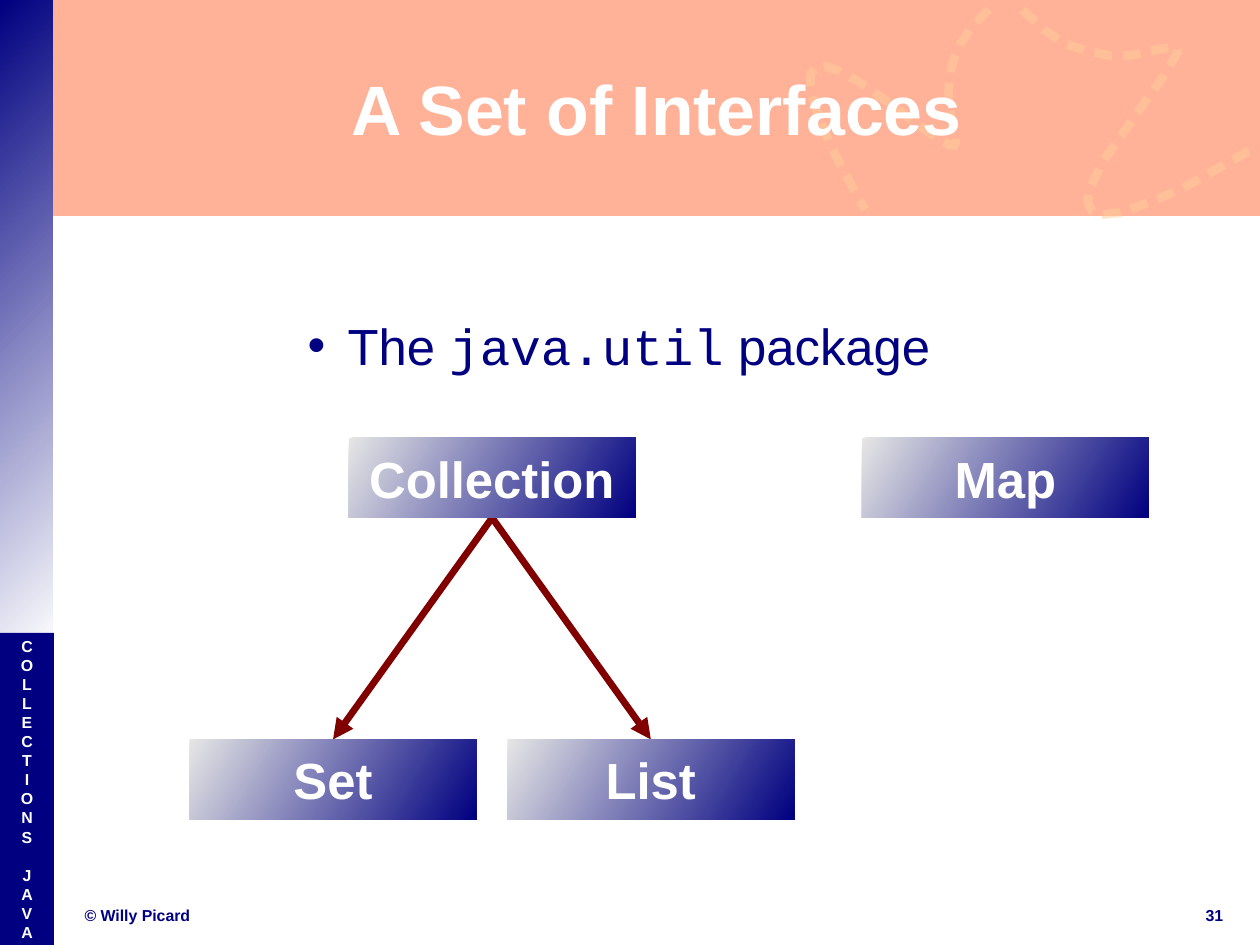
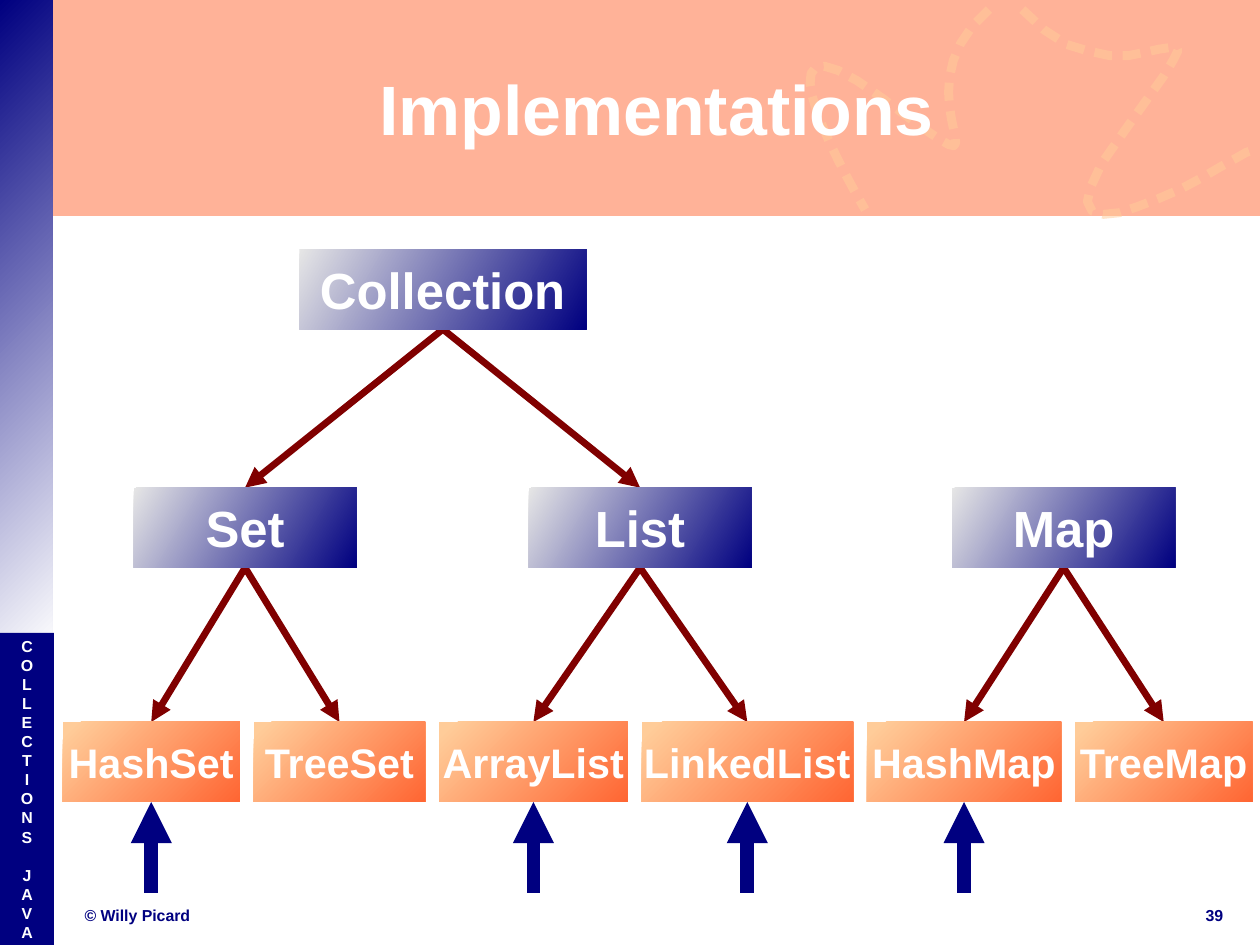
from lxml.etree import SubElement
from pptx import Presentation
from pptx.dml.color import RGBColor
from pptx.enum.shapes import MSO_CONNECTOR, MSO_SHAPE
from pptx.enum.text import MSO_ANCHOR, PP_ALIGN
from pptx.oxml.ns import qn
from pptx.util import Pt

STRAIGHT = MSO_CONNECTOR.STRAIGHT
RECTANGLE = MSO_SHAPE.RECTANGLE
TOP, MIDDLE = MSO_ANCHOR.TOP, MSO_ANCHOR.MIDDLE
LEFT, CENTER = PP_ALIGN.LEFT, PP_ALIGN.CENTER
TOP_SIDE, BOTTOM_SIDE = 0, 2


class Theme:
    navy = RGBColor.from_string("000080")
    white = RGBColor.from_string("FFFFFF")
    silver = RGBColor.from_string("E6E6E6")
    orange = RGBColor.from_string("FF6633")
    peach = RGBColor.from_string("FFCC99")
    maroon = RGBColor.from_string("800000")
    font, code_font = "Arial", "Courier New"
    title, body, leaf, small = 44, 32, 26, 10
    arrow, marker, trail = 4.31, 8.65, 5.67


SLIDE_WIDTH, SLIDE_HEIGHT = 793.7, 595.28
SIDEBAR_WIDTH, SIDEBAR_TOP = 34, 398.7
NODE_HEIGHT = 50.4
FOOTER_TOP, FOOTER_HEIGHT = 569.8, 13.7
MARKER_BOTTOM = 562.3


def write(shape, text, size=Theme.small, color=Theme.white, bold=True,
          align=CENTER, anchor=MIDDLE):
    """Fill a shape with one paragraph per line; `backticks` mark code."""
    frame = shape.text_frame
    frame.word_wrap = True
    frame.vertical_anchor = anchor
    frame.margin_left = frame.margin_right = 0
    frame.margin_top = frame.margin_bottom = 0
    for index, line in enumerate(text.split("\n")):
        paragraph = frame.add_paragraph() if index else frame.paragraphs[0]
        paragraph.alignment = align
        for part, words in enumerate(line.split("`")):
            run = paragraph.add_run()
            run.text = words
            run.font.size = Pt(size)
            run.font.bold = bold
            run.font.color.rgb = color
            run.font.name = Theme.code_font if part % 2 else Theme.font
    return frame.paragraphs


def add_box(slide, left, top, width, height, colors, angle=0, first_stop=0):
    """Add a borderless rectangle, with a gradient if two colours are given."""
    box = slide.shapes.add_shape(RECTANGLE, Pt(left), Pt(top), Pt(width), Pt(height))
    box.shadow.inherit = False
    box.line.fill.background()
    if len(colors) == 1:
        box.fill.solid()
        box.fill.fore_color.rgb = colors[0]
    else:
        box.fill.gradient()
        box.fill.gradient_angle = 360 - angle
        for stop, color, position in zip(box.fill.gradient_stops, colors, (first_stop, 1)):
            stop.color.rgb = color
            stop.position = position
    return box


# Dashed trails in the title band: one from two Bézier curves, one from points
loop_curves = [
    [(623, 6), (557, 62), (652, 133), (556, 62)],
    [(556, 62), (460, -10), (545, 132), (545, 132)],
]
STEPS = 16
loop_trail = [loop_curves[0][0]]
for start, pull_1, pull_2, end in loop_curves:
    for step in range(1, STEPS + 1):
        t = step / STEPS
        loop_trail.append([
            (1 - t) ** 3 * a + 3 * (1 - t) ** 2 * t * b + 3 * (1 - t) * t ** 2 * c + t ** 3 * d
            for a, b, c, d in zip(start, pull_1, pull_2, end)
        ])
winding_trail = [
    (644, 6), (658, 19), (672, 28), (685, 32), (699, 35), (711, 35), (721, 33),
    (730, 31), (737, 30), (741, 30), (742, 32), (739, 38), (733, 48), (723, 62),
    (708, 83), (694, 103), (687, 118), (685, 127), (688, 133), (695, 135),
    (705, 134), (717, 130), (730, 125), (744, 119), (757, 112), (769, 105),
    (778, 100), (785, 96), (788, 95),
]

# Nodes are name, left, top, width
LEAF_LEFT, LEAF_TOP, LEAF_GAP = 39.5, 454.8, 8.75
leaves = []
leaf_left = LEAF_LEFT
for name, width in [("HashSet", 111.6), ("TreeSet", 108), ("ArrayList", 118.8),
                    ("LinkedList", 133.2), ("HashMap", 122.4), ("TreeMap", 111.6)]:
    leaves.append((name, leaf_left, LEAF_TOP, width))
    leaf_left += width + LEAF_GAP

collection_edges = [("Collection", "Set"), ("Collection", "List")]
slides = [
    {
        "title": "A Set of Interfaces",
        "number": "31",
        "bullet": "The `java.util` package",
        "interfaces": [("Collection", 219.6, 275.8, 180.8), ("Map", 543, 275.8, 180.8),
                       ("Set", 119.4, 465.8, 180.8), ("List", 319.6, 465.8, 180.8)],
        "classes": [],
        "edges": collection_edges,
        "marked": [],
    },
    {
        "title": "Implementations",
        "number": "39",
        "bullet": None,
        "interfaces": [("Collection", 188.6, 157, 180.8), ("Set", 84.2, 307.2, 140.4),
                       ("List", 333, 307.2, 140.4), ("Map", 599.8, 307.2, 140.4)],
        "classes": leaves,
        "edges": collection_edges + [
            ("Set", "HashSet"), ("Set", "TreeSet"), ("List", "ArrayList"),
            ("List", "LinkedList"), ("Map", "HashMap"), ("Map", "TreeMap")],
        "marked": ["HashSet", "ArrayList", "LinkedList", "HashMap"],
    },
]

prs = Presentation()
prs.slide_width, prs.slide_height = Pt(SLIDE_WIDTH), Pt(SLIDE_HEIGHT)

for content in slides:
    slide = prs.slides.add_slide(prs.slide_layouts[6])

    # Title band, sidebar and trails
    band = add_box(slide, 0, 0, SLIDE_WIDTH, 136, [Theme.orange])
    add_box(slide, 0, 0, 33.2, 412, [Theme.navy, Theme.white], angle=45)
    sidebar = add_box(slide, 0, SIDEBAR_TOP, SIDEBAR_WIDTH, SLIDE_HEIGHT - SIDEBAR_TOP,
                      [Theme.navy])
    letters = write(sidebar, "\n".join("COLLECTIONSJAVA"))
    letters[len("COLLECTIONS")].space_before = Pt(12)

    translucent = [band]
    for points in (loop_trail, winding_trail):
        corners = [(Pt(x), Pt(y)) for x, y in points]
        builder = slide.shapes.build_freeform(*corners[0])
        builder.add_line_segments(corners[1:], close=False)
        trail = builder.convert_to_shape()
        trail.shadow.inherit = False
        trail.fill.background()
        trail.line.color.rgb = Theme.peach
        trail.line.width = Pt(Theme.trail)
        dashes = SubElement(trail.element.spPr.find(qn("a:ln")), qn("a:custDash"))
        SubElement(dashes, qn("a:ds"), d="200000", sp="117000")
        translucent.append(trail)
    for shape in translucent:
        color = next(shape.element.iter(qn("a:srgbClr")))
        SubElement(color, qn("a:alpha"), val="50000")

    # Title and footer
    for text, left, top, width, height, style in [
        (content["title"], SIDEBAR_WIDTH, 18, SLIDE_WIDTH - SIDEBAR_WIDTH, 99.4,
         {"size": Theme.title}),
        ("© Willy Picard", 53.3, FOOTER_TOP, 322, FOOTER_HEIGHT,
         {"color": Theme.navy, "align": LEFT}),
        (content["number"], 753, FOOTER_TOP, 24, FOOTER_HEIGHT, {"color": Theme.navy}),
    ]:
        label = slide.shapes.add_textbox(Pt(left), Pt(top), Pt(width), Pt(height))
        write(label, text, **style)

    if content["bullet"]:
        body = slide.shapes.add_textbox(Pt(185.2), Pt(198.3), Pt(417.6), Pt(44.6))
        write(body, content["bullet"], size=Theme.body, color=Theme.navy,
              bold=False, align=LEFT, anchor=TOP)
        bullet = next(body.element.iter(qn("a:pPr")))
        bullet.set("marL", str(Pt(33.8)))
        bullet.set("indent", str(-Pt(25.2)))
        SubElement(bullet, qn("a:buFont"), typeface=Theme.font)
        SubElement(bullet, qn("a:buChar"), char="•")

    # Hierarchy
    nodes = {}
    for group, size, colors, angle, first_stop in [
        ("interfaces", Theme.body, [Theme.silver, Theme.navy], 30, 0),
        ("classes", Theme.leaf, [Theme.peach, Theme.orange], 45, 0.05),
    ]:
        for name, left, top, width in content[group]:
            nodes[name] = add_box(slide, left, top, width, NODE_HEIGHT, colors,
                                  angle, first_stop)
            write(nodes[name], name, size=size)

    # Arrows lie behind the nodes; a marker has no parent and points up
    backmost = nodes["Collection"]
    for parent, child in content["edges"] + [(None, name) for name in content["marked"]]:
        target = nodes[child]
        middle = target.left + target.width // 2
        arrow = slide.shapes.add_connector(STRAIGHT, middle, Pt(MARKER_BOTTOM),
                                           middle, target.top + target.height)
        if parent:
            arrow.begin_connect(nodes[parent], BOTTOM_SIDE)
        arrow.end_connect(target, TOP_SIDE if parent else BOTTOM_SIDE)
        arrow.line.color.rgb = Theme.maroon if parent else Theme.navy
        arrow.line.width = Pt(Theme.arrow if parent else Theme.marker)
        properties = arrow.element.spPr
        SubElement(properties.find(qn("a:ln")), qn("a:tailEnd"), type="triangle")
        SubElement(properties, qn("a:effectLst"))
        backmost.element.addprevious(arrow.element)

prs.save("out.pptx")
